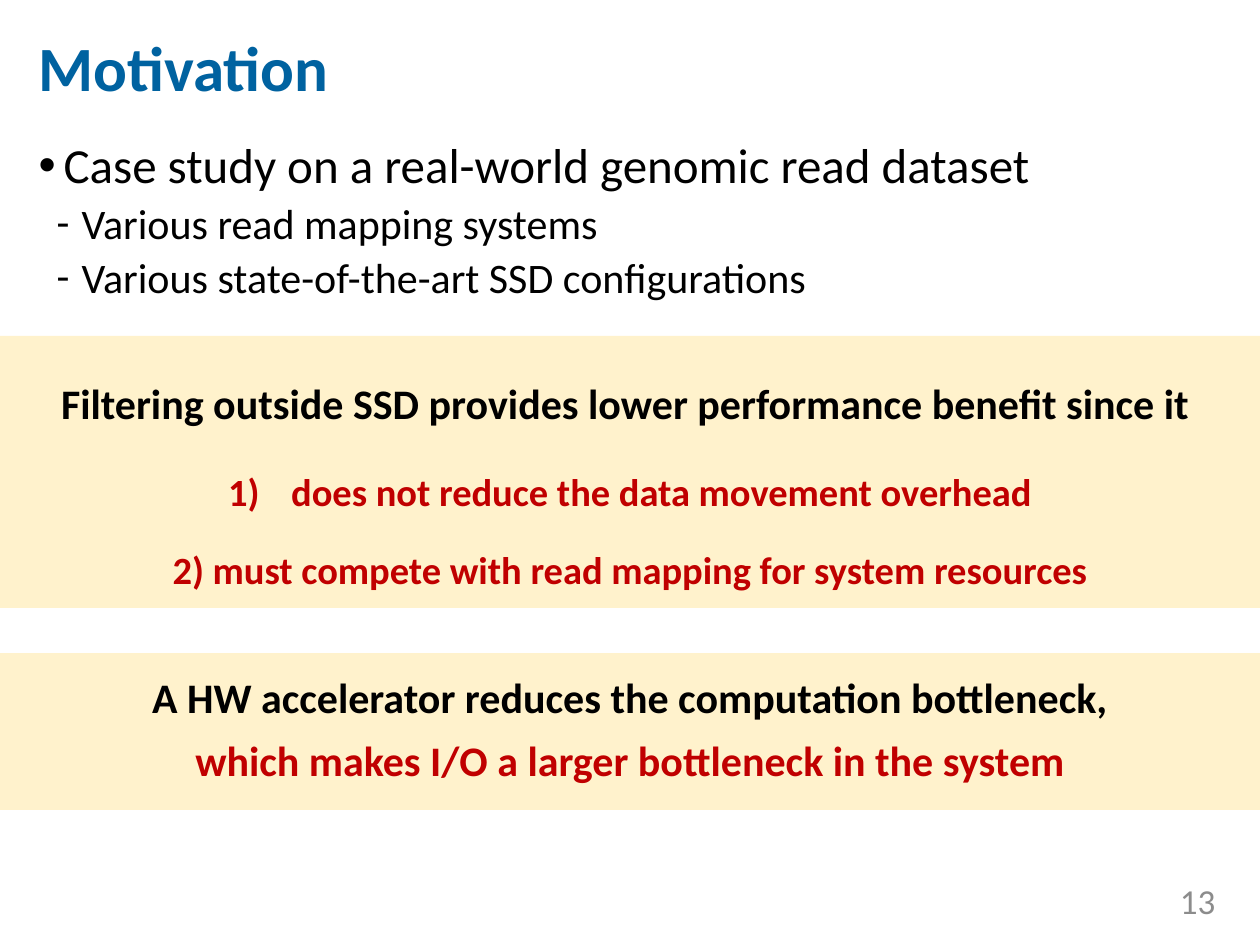
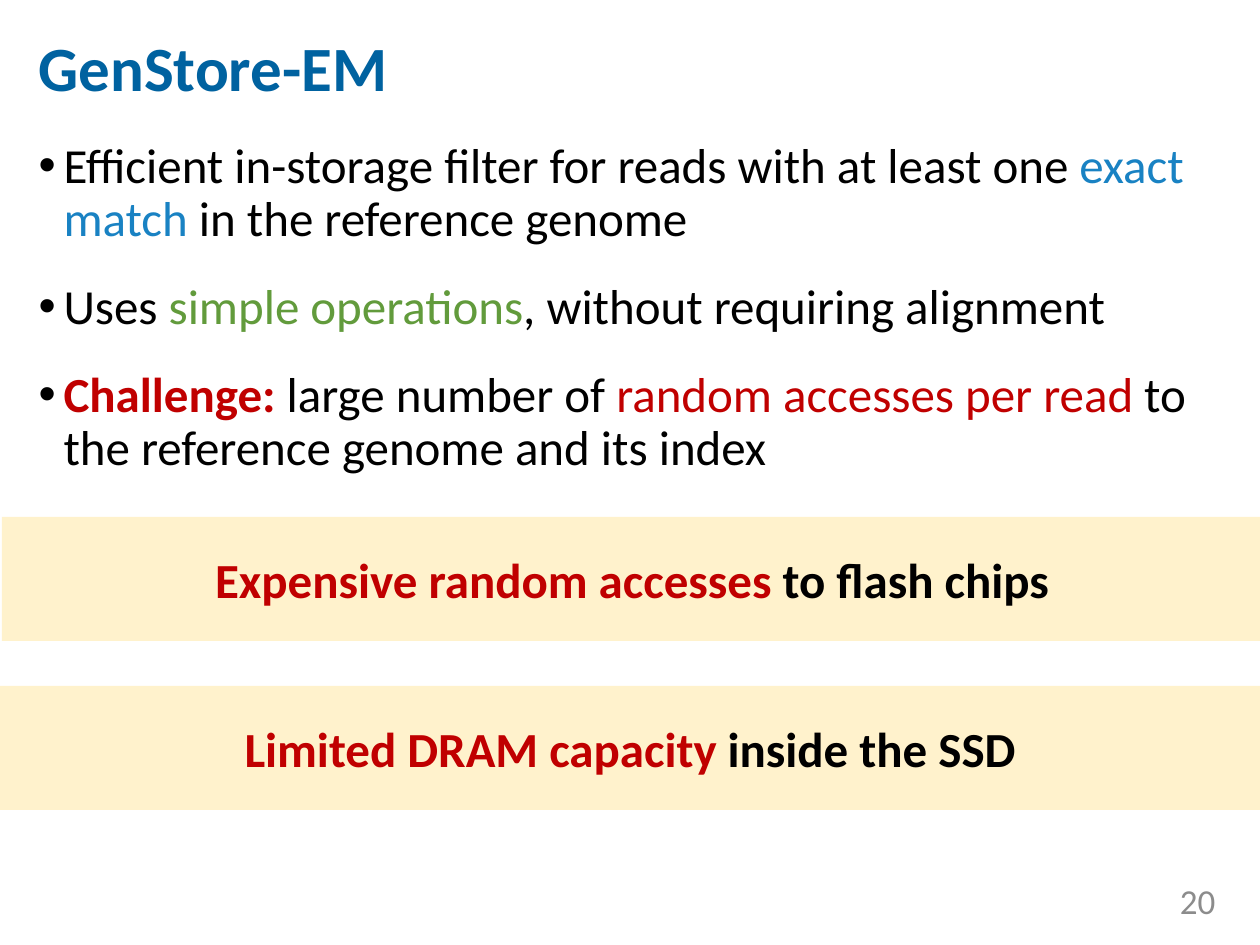
from dataclasses import dataclass

from lxml.etree import SubElement
from pptx import Presentation
from pptx.dml.color import RGBColor
from pptx.enum.shapes import MSO_SHAPE
from pptx.enum.text import MSO_ANCHOR, MSO_AUTO_SIZE, PP_ALIGN
from pptx.oxml.ns import qn
from pptx.util import Emu, Pt

PX = 914400 / 126
FONT = "Calibri"
COLORS = {
    "title": "0062A0",
    "text": "000000",
    "band": "FFF2CC",
    "number": "8C8C8C",
    "red": "C00000",
    "blue": "1982C3",
    "green": "629B3C",
}
SLIDE_BOX = (0, 0, 1260, 945)
TITLE_BOX = (26, 13, 1212, 106)
BODY_BOX = (26, 135, 1212, 741)
NUMBER_BOX = (1092, 876, 136, 50)


@dataclass
class Bullet:
    tag: str
    value: str
    margin: int
    hang: int
    font: str = FONT


DOT = Bullet("buChar", "•", 25, 25, "Arial")
DASH = Bullet("buChar", "-", 43, 25)
NUMBERED = Bullet("buAutoNum", "arabicParenR", 63, 63)


def px(length):
    return Emu(round(length * PX))


def rgb(name):
    return RGBColor.from_string(COLORS[name])


def place(shape, box):
    shape.left, shape.top, shape.width, shape.height = map(px, box)


def set_bullet(para, bullet):
    props = para._p.get_or_add_pPr()
    props.set("marL", str(px(bullet.margin)))
    props.set("indent", str(-px(bullet.hang)))
    color = SubElement(SubElement(props, qn("a:buClr")), qn("a:srgbClr"))
    color.set("val", COLORS["text"] if bullet.tag == "buChar" else COLORS["red"])
    SubElement(props, qn("a:buFont")).set("typeface", bullet.font)
    key = "char" if bullet.tag == "buChar" else "type"
    SubElement(props, qn("a:" + bullet.tag)).set(key, bullet.value)


def write(para, spans, size, bold=False, align=PP_ALIGN.LEFT,
          line=1.0, before=0, after=0, bullet=None):
    para.alignment = align
    para.line_spacing = line
    para.space_before, para.space_after = Pt(before), Pt(after)
    if bullet:
        set_bullet(para, bullet)
    for text, color, *strong in spans:
        span = para.add_run()
        span.text = text
        font = span.font
        font.name, font.size = FONT, Pt(size)
        font.bold = bool(strong) or bold
        font.color.rgb = rgb(color)


def fill_frame(frame, rows, anchor=MSO_ANCHOR.MIDDLE):
    frame.word_wrap = True
    frame.auto_size = MSO_AUTO_SIZE.NONE
    frame.vertical_anchor = anchor
    for index, (spans, style) in enumerate(rows):
        para = frame.add_paragraph() if index else frame.paragraphs[0]
        write(para, spans, **style)


def add_page(deck, title, number, rows):
    page = deck.slides.add_slide(deck.slide_layouts[1])
    heading, body = page.placeholders
    place(heading, TITLE_BOX)
    fill_frame(heading.text_frame,
               [([(title, "title")], dict(size=36, bold=True, after=6))])
    place(body, BODY_BOX)
    fill_frame(body.text_frame, rows, MSO_ANCHOR.TOP)
    for para, (_, style) in zip(body.text_frame.paragraphs, rows):
        para.level = int(style["bullet"] is DASH)
    box = page.shapes.add_textbox(*map(px, NUMBER_BOX))
    fill_frame(box.text_frame,
               [([(str(number), "number")], dict(size=20, align=PP_ALIGN.RIGHT))])
    return page


def add_band(page, top, height, rows, left=0, inset=13):
    box = (left, top, SLIDE_BOX[2], height)
    band = page.shapes.add_shape(MSO_SHAPE.RECTANGLE, *map(px, box))
    band.shadow.inherit = False
    band.fill.solid()
    band.fill.fore_color.rgb = rgb("band")
    band.line.fill.background()
    frame = band.text_frame
    frame.margin_left = frame.margin_right = px(inset)
    centred = dict(bold=True, align=PP_ALIGN.CENTER)
    fill_frame(frame, [(spans, centred | style) for spans, style in rows])


def motivation(deck):
    main = dict(size=28, line=0.9, before=10, bullet=DOT)
    sub = dict(size=24, line=0.9, before=5, bullet=DASH)
    page = add_page(deck, "Motivation", 13, [
        ([("Case study on a real-world genomic read dataset", "text")], main),
        ([("Various read mapping systems", "text")], sub),
        ([("Various state-of-the-art SSD configurations", "text")], sub),
    ])
    lead = dict(size=24, line=1.5, after=10)
    reason = dict(size=22, line=1.5, after=5)
    add_band(page, 336, 272, [
        ([("Filtering outside SSD provides lower performance benefit since it ",
           "text")], lead),
        ([("does not reduce the data movement overhead", "red")],
         reason | dict(bullet=NUMBERED)),
        ([("2) must compete with read mapping for system resources", "red")],
         reason),
    ])
    claim = dict(size=24, line=0.9, after=10)
    add_band(page, 653, 157, [
        ([("A HW accelerator reduces the computation bottleneck,", "text")], claim),
        ([("which makes I/O a larger bottleneck in the system", "red")], claim),
    ])


def exact_match_filter(deck):
    point = dict(size=28, line=0.9, before=10, after=10, bullet=DOT)
    page = add_page(deck, "GenStore-EM", 20, [
        ([("Efficient in-storage filter for reads with at least one ", "text"),
          ("exact match ", "blue"),
          ("in the reference genome", "text")], point),
        ([("Uses ", "text"),
          ("simple operations", "green"),
          (", without requiring alignment", "text")], point),
        ([("Challenge: ", "red", True),
          ("large number of ", "text"),
          ("random accesses per read ", "red"),
          ("to the reference genome and its index", "text")], point),
    ])
    limits = [
        (2, 517, "Expensive random accesses ", "to flash chips"),
        (0, 686, "Limited DRAM capacity ", "inside the SSD"),
    ]
    for left, top, problem, place_name in limits:
        spans = [(problem, "red"), (place_name, "text")]
        add_band(page, top, 124, [(spans, dict(size=28))], left, inset=0)


def main():
    deck = Presentation()
    deck.slide_width, deck.slide_height = map(px, SLIDE_BOX[2:])
    motivation(deck)
    exact_match_filter(deck)
    deck.save("out.pptx")


if __name__ == "__main__":
    main()
